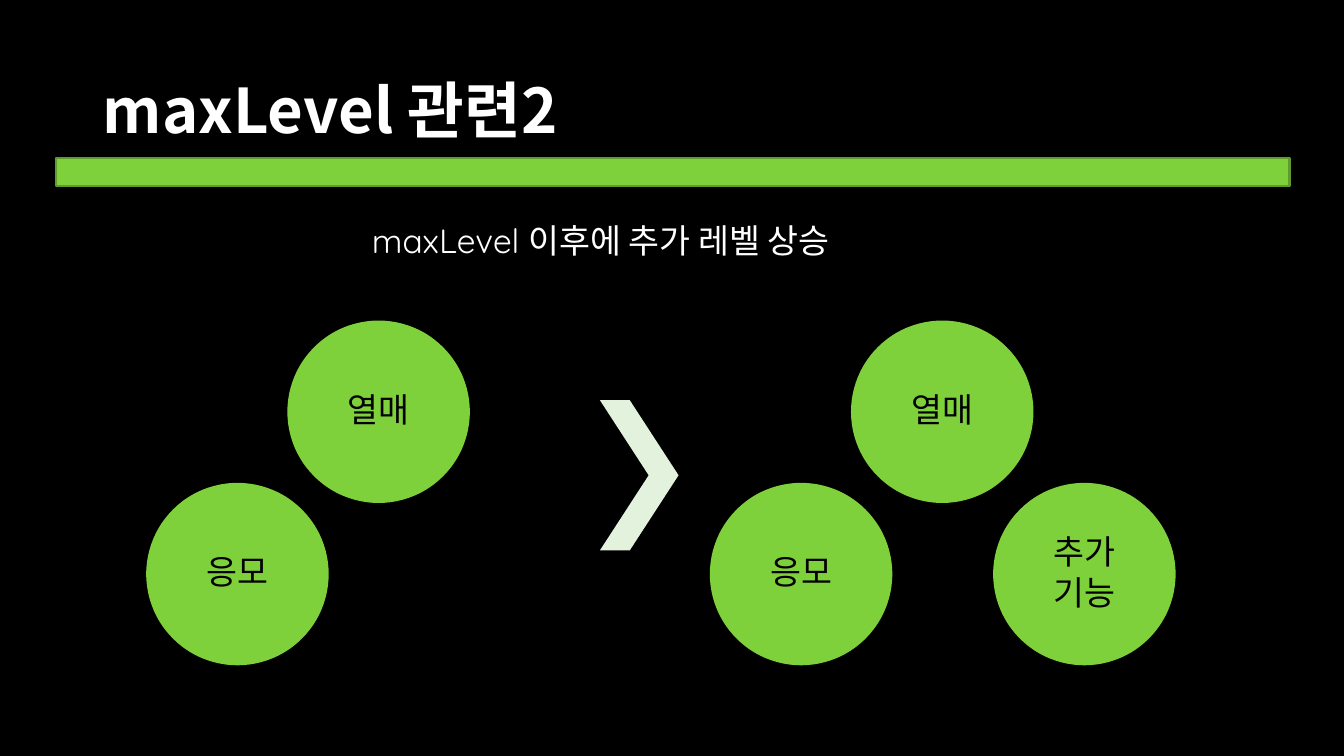
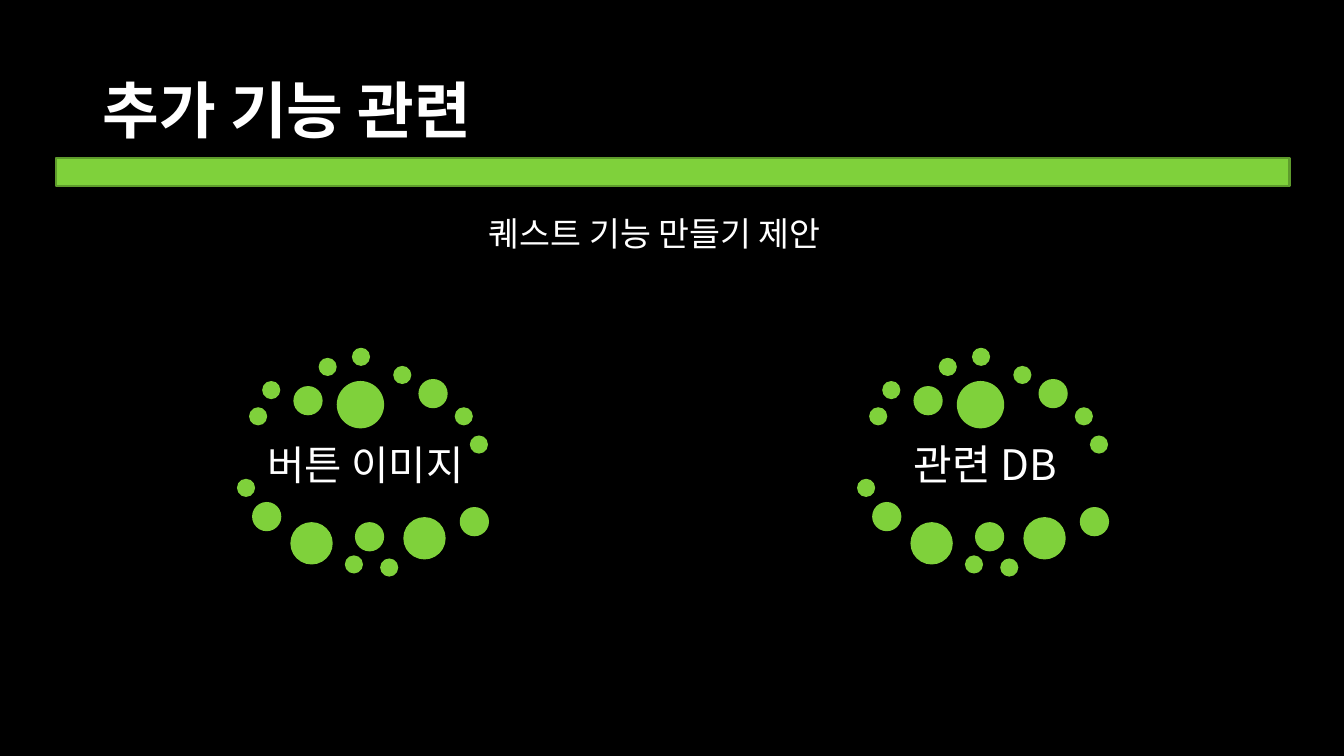
from dataclasses import dataclass

from lxml.etree import SubElement
from pptx import Presentation
from pptx.dml.color import RGBColor
from pptx.enum.shapes import MSO_SHAPE
from pptx.enum.text import MSO_ANCHOR, MSO_AUTO_SIZE, PP_ALIGN
from pptx.oxml.ns import qn
from pptx.util import Inches, Pt


@dataclass(frozen=True)
class Theme:
    """Colours, fonts and type sizes of the deck."""
    black: RGBColor = RGBColor.from_string("000000")
    white: RGBColor = RGBColor.from_string("FFFFFF")
    green: RGBColor = RGBColor.from_string("7FD13B")
    dark_green: RGBColor = RGBColor.from_string("5E9B2C")
    pale_green: RGBColor = RGBColor.from_string("E2F2DC")
    korean_font: str = "Noto Sans CJK KR"
    lead_font: str = "Quicksand"
    title_size: int = 44
    body_size: int = 24


@dataclass(frozen=True)
class Box:
    """A region in inches."""
    left: float
    top: float
    width: float
    height: float

    def inner(self, left, top, width, height):
        """Return a box placed relative to this one."""
        return Box(self.left + left, self.top + top, width, height)

    def lengths(self):
        """Return left, top, width and height as lengths."""
        return [Inches(value) for value in
                (self.left, self.top, self.width, self.height)]


THEME = Theme()
TITLE_BOX = Box(0.92, 0.4, 11.5, 1.45)
BAND_BOX = Box(0.56, 1.57, 12.23, 0.28)
CIRCLE_SIZE = 1.81
CIRCLE_OFFSETS = [(1.4, 0), (0, 1.61), (2.81, 1.61)]
RING_DOTS = {
    0.18: [(0.12, 0.59), (0.25, 0.33), (0.81, 0.1), (1.14, 0), (1.55, 0.18),
           (2.16, 0.59), (2.31, 0.87), (0, 1.3), (1.07, 2.06), (1.42, 2.09)],
    0.29: [(0.56, 0.38), (1.8, 0.31), (0.15, 1.53), (1.17, 1.73), (2.21, 1.58)],
    0.42: [(0.53, 1.73), (1.65, 1.68)],
    0.47: [(0.99, 0.33)],
}


def apply_format(target, values):
    """Set every attribute in values on the target."""
    for name, value in values.items():
        setattr(target, name, value)


def write_text(frame, lines, size, color, font=THEME.korean_font, bold=False,
               inset=None, anchor=MSO_ANCHOR.MIDDLE, **para_format):
    """Fill a text frame with one formatted paragraph per line."""
    apply_format(frame, {"word_wrap": True, "vertical_anchor": anchor,
                         "auto_size": MSO_AUTO_SIZE.NONE})
    if inset is not None:
        sides = ("left", "top", "right", "bottom")
        apply_format(frame, {f"margin_{side}": Inches(inset) for side in sides})
    for index, line in enumerate(lines):
        para = frame.add_paragraph() if index else frame.paragraphs[0]
        apply_format(para, para_format)
        span = para.add_run()
        span.text = line
        apply_format(span.font, {"name": font, "size": Pt(size), "bold": bold})
        span.font.color.rgb = color
        east_asian = SubElement(span.font._element, qn("a:ea"))
        east_asian.set("typeface", THEME.korean_font)


def add_filled(page, kind, box, color, line=None):
    """Add a flat shape, outlined only when a line colour is given."""
    shape = page.shapes.add_shape(kind, *box.lengths())
    shape.shadow.inherit = False
    shape.fill.solid()
    shape.fill.fore_color.rgb = color
    if line is None:
        shape.line.fill.background()
    else:
        shape.line.color.rgb = line
        shape.line.width = Pt(1.5)
    return shape


def add_page(deck, title, lead, lead_box):
    """Add a slide with its title, green band and lead sentence."""
    page = deck.slides.add_slide(deck.slide_layouts.get_by_name("Title Only"))
    heading = page.shapes.title
    apply_format(heading, dict(zip(("left", "top", "width", "height"),
                                   TITLE_BOX.lengths())))
    write_text(heading.text_frame, [title], THEME.title_size, THEME.white,
               bold=True, alignment=PP_ALIGN.LEFT, line_spacing=0.9)
    add_filled(page, MSO_SHAPE.RECTANGLE, BAND_BOX, THEME.green, THEME.dark_green)
    lead_text = page.shapes.add_textbox(*lead_box.lengths())
    write_text(lead_text.text_frame, [lead], THEME.body_size, THEME.white,
               font=THEME.lead_font, anchor=MSO_ANCHOR.TOP)
    return page


def add_cluster(page, box, labels):
    """Place labelled circles: top, lower left, then lower right."""
    for (left, top), lines in zip(CIRCLE_OFFSETS, labels):
        place = box.inner(left, top, CIRCLE_SIZE, CIRCLE_SIZE)
        circle = add_filled(page, MSO_SHAPE.OVAL, place, THEME.green)
        write_text(circle.text_frame, lines, THEME.body_size, THEME.black,
                   inset=0, alignment=PP_ALIGN.CENTER, line_spacing=0.9,
                   space_after=Pt(3))


def add_dot_ring(page, box, label, size):
    """Place a label inside a ring of dots."""
    caption = page.shapes.add_textbox(*box.inner(0.13, 0.81, 2.29, 0.75).lengths())
    write_text(caption.text_frame, [label], size, THEME.white, inset=0.04,
               alignment=PP_ALIGN.CENTER, line_spacing=0.9)
    for diameter, offsets in RING_DOTS.items():
        for left, top in offsets:
            add_filled(page, MSO_SHAPE.OVAL,
                       box.inner(left, top, diameter, diameter), THEME.green)


def build_level_page(deck):
    """Show the function added after the maximum level."""
    page = add_page(deck, "maxLevel 관련2", "maxLevel 이후에 추가 레벨 상승",
                    Box(3.59, 2.13, 5.16, 0.5))
    labels = [["열매"], ["응모"], ["추가", "기능"]]
    add_cluster(page, Box(1.45, 3.18, 3.22, 3.42), labels[:2])
    chevron = add_filled(page, MSO_SHAPE.CHEVRON, Box(5.95, 3.97, 0.78, 1.49),
                         THEME.pale_green)
    chevron.adjustments[0] = 0.62
    add_cluster(page, Box(7.04, 3.18, 4.62, 3.42), labels)


def build_quest_page(deck):
    """Show the two parts of the quest proposal."""
    page = add_page(deck, "추가 기능 관련", "퀘스트 기능 만들기 제안",
                    Box(4.75, 2.06, 3.85, 0.5))
    for left, label, size in [(2.35, "버튼 이미지", 29), (8.5, "관련 DB", 30)]:
        add_dot_ring(page, Box(left, 3.45, 2.5, 2.27), label, size)


def main():
    """Build and save the deck."""
    deck = Presentation()
    apply_format(deck, {"slide_width": Inches(13.33), "slide_height": Inches(7.5)})
    backdrop = deck.slide_master.background.fill
    backdrop.solid()
    backdrop.fore_color.rgb = THEME.black
    build_level_page(deck)
    build_quest_page(deck)
    deck.save("out.pptx")


main()
